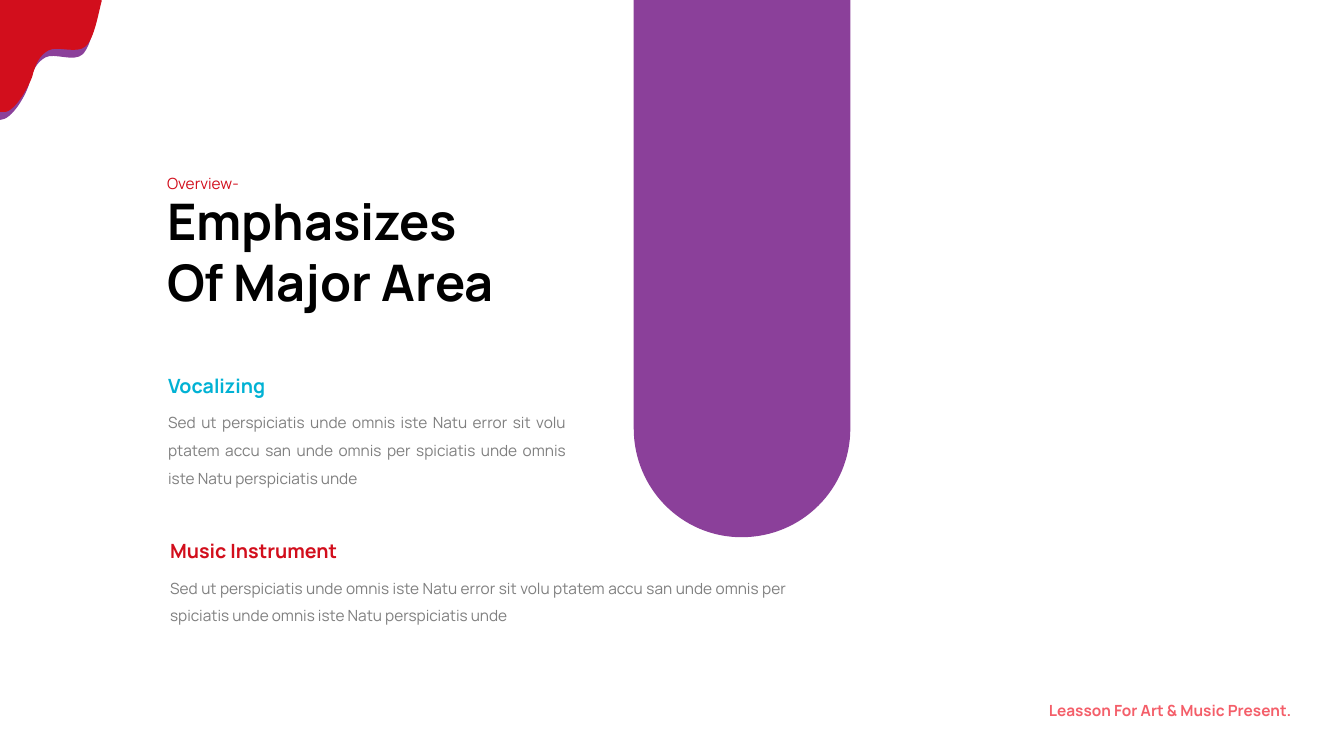
from lxml.etree import SubElement
from pptx import Presentation
from pptx.dml.color import RGBColor
from pptx.enum.text import MSO_AUTO_SIZE as AutoSize, PP_ALIGN as Align
from pptx.oxml.ns import qn
from pptx.util import Inches, Pt

COLORS = {"purple": "8B409A", "red": "D20E1C", "cyan": "01B2D4",
          "black": "000000", "gray": "7F7F7F", "pink": "F45E69"}
FONT = "Manrope"
BODY = ("Sed ut perspiciatis unde omnis iste Natu error sit volu ptatem accu san "
        "unde omnis per spiciatis unde omnis iste Natu perspiciatis unde")

# Outlines relative to their box: straight points, then Bezier segments
PILL = {
    "straight": [(0, 0), (2.15, 0), (2.15, 4.25)],
    "curves": [[(2.15, 4.85), (1.67, 5.33), (1.07, 5.33)],
               [(0.48, 5.33), (0, 4.85), (0, 4.25)]]}
PURPLE_DRIP = {
    "straight": [(0, 0), (0.98, 0)],
    "curves": [[(0.95, 0.1), (0.91, 0.37), (0.82, 0.46)],
               [(0.73, 0.54), (0.54, 0.44), (0.45, 0.49)],
               [(0.36, 0.54), (0.32, 0.63), (0.29, 0.75)],
               [(0.26, 0.86), (0.12, 1.11), (0, 1.11)]]}
RED_DRIP = {
    "straight": [(0, 1.11), (0, 0), (1.01, 0), (1.01, 0.01)],
    "curves": [[(0.98, 0.11), (0.94, 0.38), (0.85, 0.46)],
               [(0.76, 0.54), (0.57, 0.45), (0.48, 0.5)],
               [(0.39, 0.55), (0.35, 0.64), (0.32, 0.76)],
               [(0.28, 0.87), (0.13, 1.15), (0.01, 1.11)]]}


def add_outline(slide, left, top, outline, color):
    points = outline["straight"] + sum(outline["curves"], [])
    points = [(Inches(left + x), Inches(top + y)) for x, y in points]
    builder = slide.shapes.build_freeform(*points[0])
    builder.add_line_segments(points[1:], close=True)
    shape = builder.convert_to_shape()
    shape.shadow.inherit = False
    shape.fill.solid()
    shape.fill.fore_color.rgb = RGBColor.from_string(COLORS[color])
    shape.line.fill.background()

    # Merge each three trailing line segments into one Bezier segment
    segments = list(shape._element.iter(qn("a:lnTo")))[len(outline["straight"]) - 1:]
    for first in range(0, 3 * len(outline["curves"]), 3):
        trio = segments[first:first + 3]
        route = trio[0].getparent()
        curve = SubElement(route, qn("a:cubicBezTo"))
        trio[0].addprevious(curve)
        for segment in trio:
            curve.append(segment[0])
            route.remove(segment)


def add_text(slide, box, text, color, size=11, bold=False, align=Align.LEFT, spacing=1.5):
    frame = slide.shapes.add_textbox(*map(Inches, box)).text_frame
    frame.word_wrap = True
    frame.auto_size = AutoSize.SHAPE_TO_FIT_TEXT
    paragraph = frame.paragraphs[0]
    paragraph.alignment = align
    paragraph.line_spacing = spacing
    run = paragraph.add_run()
    run.text = text
    for name, value in {"name": FONT, "size": Pt(size), "bold": bold}.items():
        setattr(run.font, name, value)
    run.font.color.rgb = RGBColor.from_string(COLORS[color])


def add_heading(slide, left, top):
    add_text(slide, (left, top + 0.25, 3.52, 1.9), "Emphasizes Of Major Area",
             "black", size=36, bold=True, spacing=1.0)
    add_text(slide, (left, top, 1.68, 0.38), "Overview-", "red", align=Align.JUSTIFY)


def add_topic(slide, left, top, width, height, title, color):
    add_text(slide, (left, top + 0.42, width, height), BODY, "gray", align=Align.JUSTIFY)
    add_text(slide, (left, top, 3.2, 0.45), title, color, size=14, bold=True)


def main():
    deck = Presentation()
    deck.slide_width, deck.slide_height = Inches(13.34), Inches(7.5)
    slide = deck.slides.add_slide(deck.slide_layouts[6])

    # Decoration
    add_outline(slide, 6.29, 0, PILL, "purple")
    add_outline(slide, 0, 0.08, PURPLE_DRIP, "purple")
    add_outline(slide, 0, 0, RED_DRIP, "red")

    # Footer, heading and topics
    add_text(slide, (9.17, 6.81, 3.75, 0.38), "Leasson For Art & Music Present.",
             "pink", bold=True, align=Align.RIGHT)
    add_heading(slide, 1.56, 1.59)
    add_topic(slide, 1.57, 3.54, 4.15, 0.93, "Vocalizing", "cyan")
    add_topic(slide, 1.59, 5.18, 6.32, 0.65, "Music Instrument", "red")

    deck.save("out.pptx")


if __name__ == "__main__":
    main()
